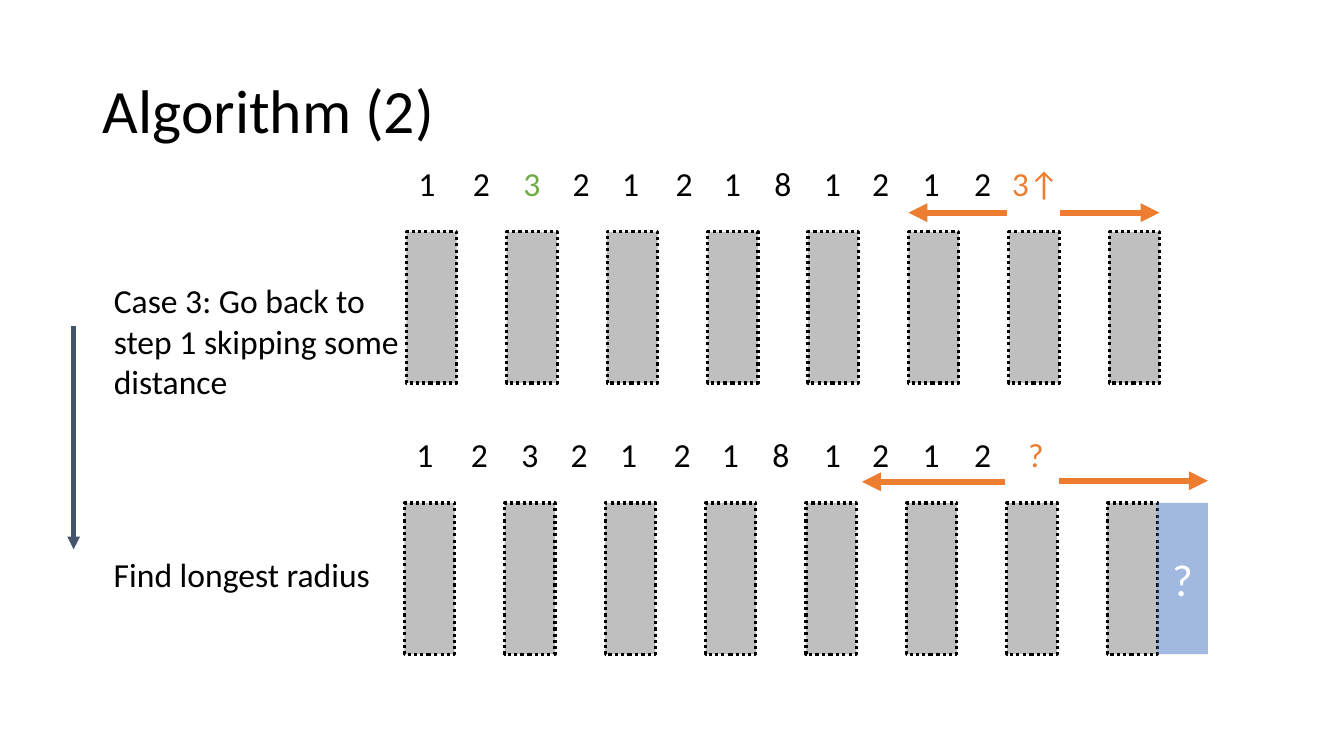
"""Build the slide on skipping ahead when searching for the longest radius."""
from lxml import etree
from pptx import Presentation
from pptx import util as u
from pptx.dml.color import RGBColor
from pptx.enum import dml, shapes, text
from pptx.oxml.ns import qn

COLOURS = {
    "text": "000000", "bar": "BFBFBF", "found": "70AD47", "active": "ED7D31",
    "unknown": "4472C4", "step": "44546A", "light": "FFFFFF",
}
FONT = "Calibri"
BAR_COUNT = 8
BAR_PITCH = 0.996
BAR_WIDTH, BAR_HEIGHT = 0.5, 1.5
DIGIT_WIDTH, LINE_HEIGHT = 0.37, 0.5
RADII = "123212181212"
RADIUS_LEFTS = [4.05, 4.59, 5.09, 5.58, 6.07, 6.6, 7.08, 7.58, 8.07, 8.55, 9.05, 9.56]


def colour(name):
    """Return the named palette colour."""
    return RGBColor.from_string(COLOURS[name])


def box(left, top, width, height):
    """Return a position and size in inches."""
    return [u.Inches(value) for value in (left, top, width, height)]


def write(paragraph, content, size=24, colour_name="text", align=text.PP_ALIGN.LEFT):
    """Write one formatted run into a paragraph."""
    paragraph.alignment = align
    run = paragraph.add_run()
    run.text = content
    run.font.name = FONT
    run.font.size = u.Pt(size)
    run.font.color.rgb = colour(colour_name)


def add_title(slide, content):
    """Place and fill the title placeholder."""
    title = slide.shapes.title
    title.left, title.top, title.width, title.height = box(0.92, 0.4, 11.5, 1.45)
    title.text_frame.vertical_anchor = text.MSO_ANCHOR.MIDDLE
    paragraph = title.text_frame.paragraphs[0]
    paragraph.line_spacing = 0.9
    write(paragraph, content, 44)


def add_label(slide, place, lines, colour_name="text", align=text.PP_ALIGN.LEFT):
    """Add an unwrapped text box with one paragraph per line."""
    frame = slide.shapes.add_textbox(*box(*place)).text_frame
    frame.word_wrap = False
    frame.auto_size = text.MSO_AUTO_SIZE.SHAPE_TO_FIT_TEXT
    for index, line in enumerate(lines):
        paragraph = frame.add_paragraph() if index else frame.paragraphs[0]
        write(paragraph, line, 24, colour_name, align)


def add_radius(slide, left, top, content, colour_name="text", width=DIGIT_WIDTH):
    """Add one centred radius value."""
    place = (left, top, width, LINE_HEIGHT)
    add_label(slide, place, [content], colour_name, text.PP_ALIGN.CENTER)


def add_block(slide, left, top, fill):
    """Add one filled block of the string."""
    block = slide.shapes.add_shape(
        shapes.MSO_SHAPE.RECTANGLE, *box(left, top, BAR_WIDTH, BAR_HEIGHT))
    block.shadow.inherit = False
    block.fill.solid()
    block.fill.fore_color.rgb = colour(fill)
    return block


def add_bar(slide, left, top):
    """Add a grey bar with a dotted outline."""
    bar = add_block(slide, left, top, "bar")
    bar.line.color.rgb = colour("text")
    bar.line.width = u.Pt(2.25)
    bar.line.dash_style = dml.MSO_LINE.ROUND_DOT


def add_unknown(slide, left, top):
    """Add the translucent block that is still to be examined."""
    block = add_block(slide, left, top, "unknown")
    block.line.fill.background()
    fill_colour = block.fill._xPr.find(qn("a:solidFill"))[0]
    etree.SubElement(fill_colour, qn("a:alpha")).set("val", "50000")
    block.text_frame.vertical_anchor = text.MSO_ANCHOR.MIDDLE
    write(block.text_frame.paragraphs[0], "?", 32, "light", text.PP_ALIGN.CENTER)


def add_arrow(slide, start, end, colour_name="active", width=4.5):
    """Add a straight arrow pointing at its end."""
    points = [u.Inches(value) for value in (*start, *end)]
    arrow = slide.shapes.add_connector(shapes.MSO_CONNECTOR.STRAIGHT, *points)
    arrow.line.color.rgb = colour(colour_name)
    arrow.line.width = u.Pt(width)
    etree.SubElement(arrow.line._get_or_add_ln(), qn("a:tailEnd")).set("type", "triangle")
    etree.SubElement(arrow._element.spPr, qn("a:effectLst"))


def add_string(slide, top, shift=0, found=None):
    """Add a row of bars with the known radii above it."""
    for index in range(BAR_COUNT):
        add_bar(slide, 4.03 + shift + index * BAR_PITCH, top)
    for index, (left, digit) in enumerate(zip(RADIUS_LEFTS, RADII)):
        offset = shift if index < BAR_COUNT else 0
        add_radius(slide, left + offset, top - 0.73, digit,
                   "found" if index == found else "text")


def main():
    """Build and save the slide."""
    presentation = Presentation()
    presentation.slide_width = u.Inches(13.33)
    presentation.slide_height = u.Inches(7.5)
    slide = presentation.slides.add_slide(presentation.slide_layouts[5])
    add_title(slide, "Algorithm (2)")

    add_string(slide, 2.3, found=2)
    add_radius(slide, 9.93, 1.57, "3↑", "active", 0.68)
    add_arrow(slide, (10.51, 2.11), (11.5, 2.11))
    add_arrow(slide, (9.99, 2.11), (9.01, 2.11))

    add_string(slide, 4.99, shift=-0.02)
    add_radius(slide, 10.09, 4.26, "?", "active")
    add_arrow(slide, (9.97, 4.78), (8.55, 4.78))
    add_arrow(slide, (10.5, 4.77), (11.98, 4.77))
    add_unknown(slide, 11.48, 4.99)

    case = ["Case 3: Go back to", "step 1 skipping some", "distance"]
    add_label(slide, (1.03, 2.73, 3.05, 1.31), case)
    add_label(slide, (1.03, 5.45, 2.77, LINE_HEIGHT), ["Find longest radius"])
    add_arrow(slide, (0.73, 3.23), (0.73, 5.45), "step", 3)
    presentation.save("out.pptx")


if __name__ == "__main__":
    main()
